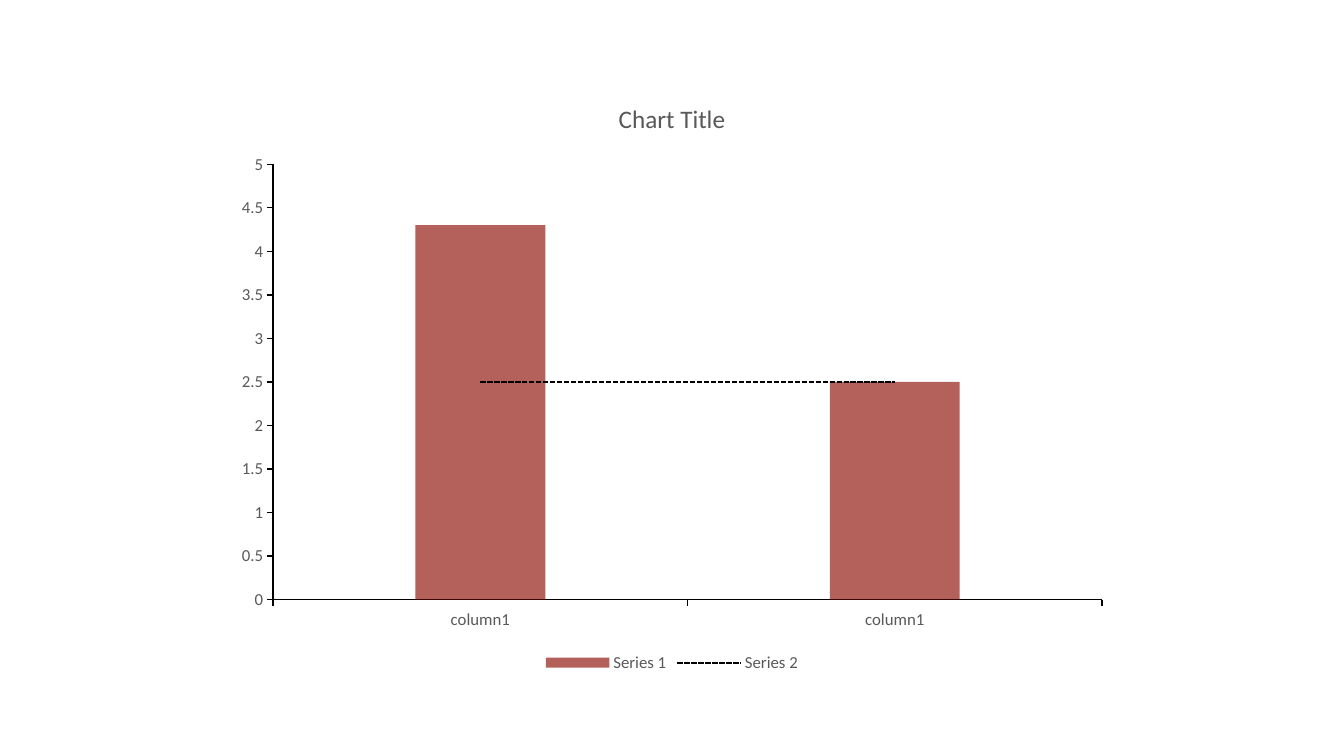
"""Build a slide with a column chart and a dashed reference line."""
from dataclasses import dataclass

from pptx import Presentation, oxml
from pptx.chart import data
from pptx.dml.color import RGBColor
from pptx.enum import chart as chart_enum, dml
from pptx.oxml import ns
from pptx.util import Pt


@dataclass(frozen=True)
class Theme:
    """Colours, font and type sizes of the slide."""
    font: str = "Calibri"
    label: RGBColor = RGBColor(0x59, 0x59, 0x59)
    line: RGBColor = RGBColor(0, 0, 0)
    column: RGBColor = RGBColor(0x8B, 0x0D, 0x03)
    column_opacity: int = 65
    title_size: int = 18
    label_size: int = 12


THEME = Theme()


def style_font(font, size):
    """Set family, size and colour of a font."""
    font.name = THEME.font
    font.size = Pt(size)
    font.bold = False
    font.color.rgb = THEME.label


def style_line(line, width):
    """Draw a solid black line of the given width."""
    line.color.rgb = THEME.line
    line.width = Pt(width)


def add_title(chart, wording):
    """Give the chart its title."""
    chart.has_title = True
    chart.chart_title.include_in_layout = False
    run = chart.chart_title.text_frame.paragraphs[0].add_run()
    run.text = wording
    style_font(run.font, THEME.title_size)


def style_axis(axis):
    """Show an axis with outward ticks and no gridlines."""
    axis.has_major_gridlines = False
    axis.major_tick_mark = chart_enum.XL_TICK_MARK.OUTSIDE
    axis.minor_tick_mark = chart_enum.XL_TICK_MARK.NONE
    style_line(axis.format.line, 1)
    style_font(axis.tick_labels.font, THEME.label_size)


def add_legend(chart):
    """Place the legend under the plot."""
    chart.has_legend = True
    chart.legend.position = chart_enum.XL_LEGEND_POSITION.BOTTOM
    chart.legend.include_in_layout = False
    style_font(chart.legend.font, THEME.label_size)


def move_last_series_to_line(chart):
    """Turn the last column series into a line on the same axes."""
    columns = chart.element.xpath(".//c:barChart")[0]
    series = columns.xpath("./c:ser")[-1]
    axes = "".join(f'<c:axId val="{axis.get("val")}"/>' for axis in columns.xpath("./c:axId"))
    line_plot = oxml.parse_xml(
        f'<c:lineChart {ns.nsdecls("c")}><c:grouping val="standard"/>'
        f'<c:varyColors val="0"/><c:marker val="1"/>{axes}</c:lineChart>'
    )
    for invert in series.xpath("./c:invertIfNegative"):
        series.remove(invert)
    line_plot.insert(2, series)
    columns.addnext(line_plot)


def style_columns(plot):
    """Fill the columns with a translucent red."""
    plot.gap_width = 219
    plot.vary_by_categories = False
    series = plot.series[0]
    series.format.fill.solid()
    series.format.fill.fore_color.rgb = THEME.column
    series.format.line.fill.background()
    colour = series.format.fill._xPr.xpath("./a:solidFill/a:srgbClr")[0]
    colour.append(oxml.parse_xml(
        f'<a:alpha {ns.nsdecls("a")} val="{THEME.column_opacity * 1000}"/>'
    ))


def style_reference(series):
    """Draw the reference series as a dashed line without markers."""
    series.smooth = False
    series.marker.style = chart_enum.XL_MARKER_STYLE.NONE
    style_line(series.format.line, 1.25)
    series.format.line.dash_style = dml.MSO_LINE.SQUARE_DOT


def add_combined_chart(slide):
    """Add the column chart with its reference line."""
    chart_data = data.CategoryChartData()
    chart_data.categories = ["column1", "column1"]
    chart_data.add_series("Series 1", (4.3, 2.5))
    chart_data.add_series("Series 2", (2.5, 2.5))
    chart = slide.shapes.add_chart(
        chart_enum.XL_CHART_TYPE.COLUMN_CLUSTERED,
        Pt(160), Pt(56.7), Pt(640), Pt(426.7), chart_data,
    ).chart
    style_font(chart.font, THEME.label_size)
    add_title(chart, "Chart Title")
    add_legend(chart)
    for axis in (chart.category_axis, chart.value_axis):
        style_axis(axis)
    chart.value_axis.minimum_scale = 0
    chart.value_axis.maximum_scale = 5
    chart.value_axis.major_unit = 0.5
    move_last_series_to_line(chart)
    column_plot, line_plot = chart.plots
    style_columns(column_plot)
    style_reference(line_plot.series[0])


def main():
    """Create the presentation and save it."""
    presentation = Presentation()
    presentation.slide_width = Pt(960)
    presentation.slide_height = Pt(540)
    slide = presentation.slides.add_slide(presentation.slide_layouts.get_by_name("Blank"))
    add_combined_chart(slide)
    presentation.save("out.pptx")


if __name__ == "__main__":
    main()
